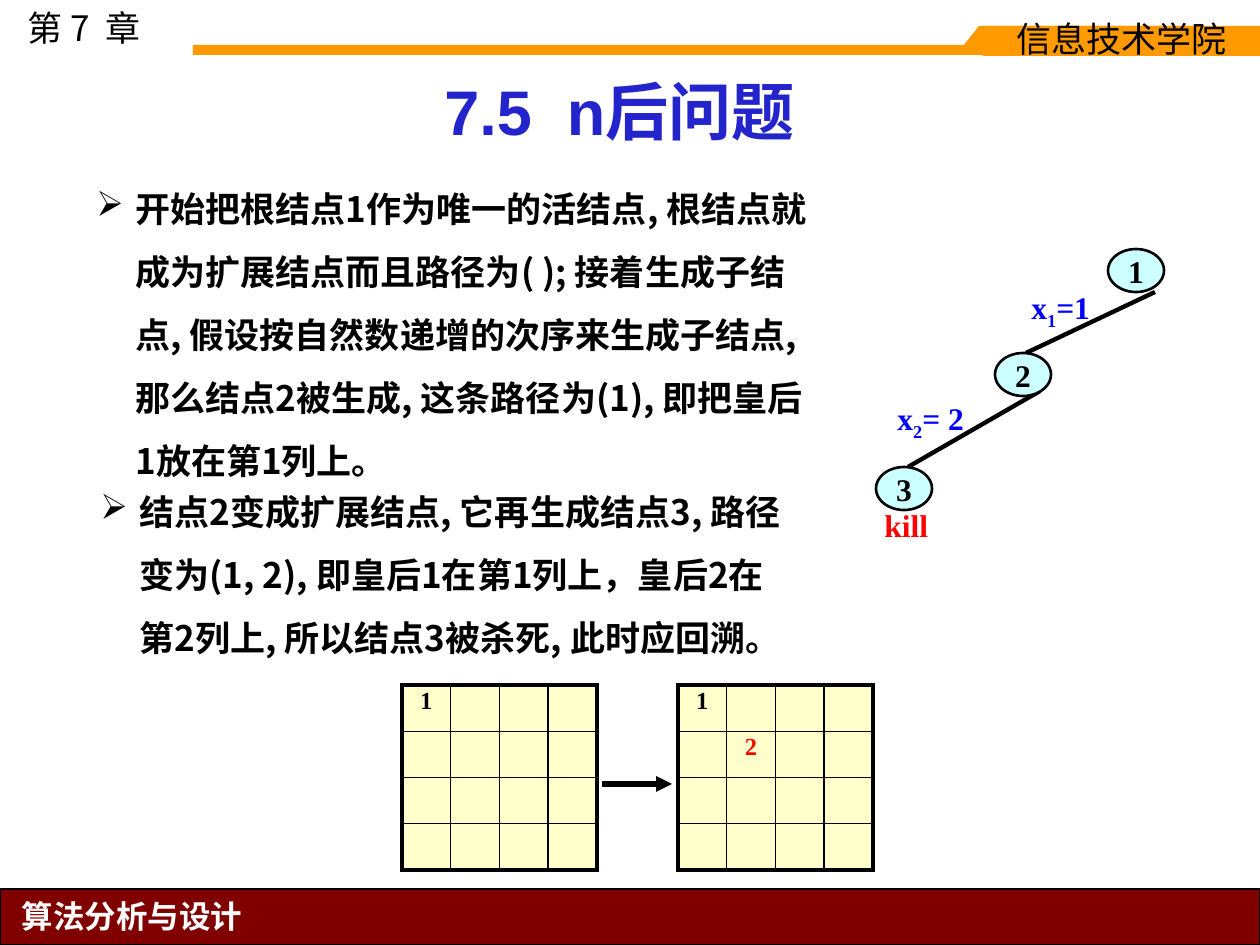
import pptx
import pptx.util
import pptx.dml.color
import pptx.enum.shapes
import pptx.enum.text
import pptx.oxml.ns
import lxml.etree

BLACK = pptx.dml.color.RGBColor(0x00, 0x00, 0x00)
WHITE = pptx.dml.color.RGBColor(0xFF, 0xFF, 0xFF)
ORANGE = pptx.dml.color.RGBColor(0xFF, 0x99, 0x00)
MAROON = pptx.dml.color.RGBColor(0x80, 0x00, 0x00)
INDIGO = pptx.dml.color.RGBColor(0x23, 0x24, 0xCB)
BLUE = pptx.dml.color.RGBColor(0x00, 0x00, 0xFF)
RED = pptx.dml.color.RGBColor(0xFF, 0x00, 0x00)
CYAN = pptx.dml.color.RGBColor(0xCC, 0xFF, 0xFF)
CREAM = pptx.dml.color.RGBColor(0xFF, 0xFF, 0xCC)

SANS = "Noto Sans CJK SC"
SERIF = "Times New Roman"
SCALE = 914400 / 126
SHAPES = pptx.enum.shapes.MSO_SHAPE
CENTER = pptx.enum.text.PP_ALIGN.CENTER
MIDDLE = pptx.enum.text.MSO_ANCHOR.MIDDLE


def px(length):
    return pptx.util.Emu(round(length * SCALE))


def add_element(parent, tag, **attributes):
    element = lxml.etree.SubElement(parent, pptx.oxml.ns.qn(tag))
    for name, value in attributes.items():
        element.set(name, str(value))
    return element


def format_paragraph(para, size, name, color, bold=False, align=None, spacing=None):
    if align is not None:
        para.alignment = align
    if spacing is not None:
        para.line_spacing = spacing
    font = para.font
    font.size = pptx.util.Pt(size)
    font.name = name
    font.bold = bold
    font.color.rgb = color
    add_element(para._p.pPr.find(pptx.oxml.ns.qn("a:defRPr")), "a:ea", typeface=SANS)


def add_text(page, area, text, size, name, color, **style):
    box = page.shapes.add_textbox(*map(px, area))
    box.text_frame.word_wrap = True
    para = box.text_frame.paragraphs[0]
    para.text = text
    format_paragraph(para, size, name, color, **style)


def add_bullet(page, area, text):
    box = page.shapes.add_textbox(*map(px, area))
    box.text_frame.word_wrap = True
    para = box.text_frame.paragraphs[0]
    para.text = text
    para.line_spacing = 1.5
    properties = para._p.get_or_add_pPr()
    properties.set("marL", str(px(39)))
    properties.set("indent", str(-px(39)))
    add_element(add_element(properties, "a:buClr"), "a:srgbClr", val=BLACK)
    add_element(properties, "a:buChar", char="➢")
    format_paragraph(para, 20, SANS, BLACK, bold=True)


def add_shape(page, kind, area, fill, line_width=0):
    shape = page.shapes.add_shape(kind, *map(px, area))
    paint_shape(shape, fill, line_width)
    return shape


def paint_shape(shape, fill, line_width=0):
    shape.shadow.inherit = False
    shape.fill.solid()
    shape.fill.fore_color.rgb = fill
    if line_width:
        shape.line.color.rgb = BLACK
        shape.line.width = pptx.util.Pt(line_width)
    else:
        shape.line.fill.background()


def add_line(page, start, end, width, arrow=False):
    line = page.shapes.add_connector(
        pptx.enum.shapes.MSO_CONNECTOR.STRAIGHT, *map(px, start + end))
    line.line.color.rgb = BLACK
    line.line.width = pptx.util.Pt(width)
    if arrow:
        add_element(line.line._get_or_add_ln(), "a:tailEnd", type="triangle")
    add_element(line._element.spPr, "a:effectLst")


def add_node(page, left, top, text):
    node = add_shape(page, SHAPES.OVAL, (left, top, 56, 43), CYAN, 1.5)
    frame = node.text_frame
    frame.word_wrap = False
    frame.vertical_anchor = MIDDLE
    frame.text = text
    format_paragraph(frame.paragraphs[0], 18, SERIF, BLACK, bold=True, align=CENTER)


def add_edge_label(page, left, top, width, index, value):
    box = page.shapes.add_textbox(px(left), px(top), px(width), px(89))
    box.text_frame.word_wrap = True
    para = box.text_frame.paragraphs[0]
    for text in ("x", index, value):
        span = para.add_run()
        span.text = text
        if text == index:
            span.font._element.set("baseline", "-25000")
    format_paragraph(para, 18, SERIF, BLUE, bold=True)


def add_border(cell, side, width):
    properties = cell._tc.get_or_add_tcPr()
    border = add_element(properties, "a:ln" + side, w=pptx.util.Pt(width))
    add_element(add_element(border, "a:solidFill"), "a:srgbClr", val=BLACK)


def add_board(page, left, top, queens):
    size = 4
    table = page.shapes.add_table(
        size, size, px(left), px(top), px(195), px(185)).table
    table.first_row = False
    table.horz_banding = False
    for row in range(size):
        table.rows[row].height = px(185 / size)
        table.columns[row].width = px(195 / size)
        for column in range(size):
            cell = table.cell(row, column)
            edges = {"L": column == 0, "R": column == size - 1,
                     "T": row == 0, "B": row == size - 1}
            for side, outer in edges.items():
                add_border(cell, side, 2.25 if outer else 1)
            cell.fill.solid()
            cell.fill.fore_color.rgb = CREAM
            cell.margin_left = cell.margin_right = px(9)
            cell.margin_top = cell.margin_bottom = px(5)
            text, color = queens.get((row, column), ("", BLACK))
            cell.text = text
            format_paragraph(cell.text_frame.paragraphs[0], 14, SERIF, color,
                             bold=True, align=CENTER, spacing=0.9)


def add_header(page):
    add_text(page, (15, 0, 169, 54), "第 7  章", 20, SANS, BLACK)
    add_shape(page, SHAPES.RECTANGLE, (193, 45, 973, 10), ORANGE)
    add_shape(page, SHAPES.RECTANGLE, (979, 26, 187, 20), ORANGE)
    outline = page.shapes.build_freeform(963, 46, scale=SCALE)
    outline.add_line_segments([(979, 46), (979, 26)], close=True)
    paint_shape(outline.convert_to_shape(), ORANGE)
    banner = add_shape(page, SHAPES.RECTANGLE, (983, 26, 277, 30), ORANGE)
    frame = banner.text_frame
    frame.vertical_anchor = MIDDLE
    frame.text = "信息技术学院"
    format_paragraph(frame.paragraphs[0], 20, "DejaVu Sans", BLACK,
                     align=CENTER, spacing=0.9)


def add_footer(page):
    add_shape(page, SHAPES.RECTANGLE, (0, 889, 1260, 56), MAROON, 0.75)
    add_text(page, (8, 891, 248, 50), "算法分析与设计", 18, SANS, WHITE,
             bold=True, align=CENTER)


def set_title(page, text):
    title = page.shapes.title
    title.left, title.top, title.width, title.height = map(px, (84, 55, 1071, 111))
    frame = title.text_frame
    frame.auto_size = pptx.enum.text.MSO_AUTO_SIZE.NONE
    frame.vertical_anchor = MIDDLE
    frame.text = text
    format_paragraph(frame.paragraphs[0], 36, "Arial", INDIGO, bold=True, align=CENTER)


def add_tree(page):
    add_line(page, (1155, 292), (1026, 353), 2.5)
    add_line(page, (1040, 391), (908, 467), 2.5)
    add_node(page, 1108, 249, "1")
    add_node(page, 995, 353, "2")
    add_node(page, 876, 467, "3")
    add_edge_label(page, 1019, 282, 97, "1", "=1")
    add_edge_label(page, 885, 393, 105, "2", "= 2")
    add_text(page, (872, 507, 105, 43), "kill", 18, SERIF, RED, bold=True, spacing=0.8)


def main():
    deck = pptx.Presentation()
    deck.slide_width, deck.slide_height = px(1260), px(945)
    page = deck.slides.add_slide(deck.slide_layouts.get_by_name("Title Only"))
    add_header(page)
    add_footer(page)
    set_title(page, "7.5  n后问题")
    add_bullet(page, (84, 160, 741, 321),
               "开始把根结点1作为唯一的活结点, 根结点就成为扩展结点而且路径为( ); "
               "接着生成子结点, 假设按自然数递增的次序来生成子结点, "
               "那么结点2被生成, 这条路径为(1), 即把皇后1放在第1列上。")
    add_bullet(page, (88, 463, 716, 257),
               "结点2变成扩展结点, 它再生成结点3, 路径变为(1, 2), "
               "即皇后1在第1列上，皇后2在第2列上, 所以结点3被杀死, 此时应回溯。")
    add_tree(page)
    first_queen = {(0, 0): ("1", BLACK)}
    add_board(page, 402, 685, first_queen)
    add_board(page, 678, 685, {**first_queen, (1, 1): ("2", RED)})
    add_line(page, (602, 784), (672, 784), 3, arrow=True)
    deck.save("out.pptx")


if __name__ == "__main__":
    main()
